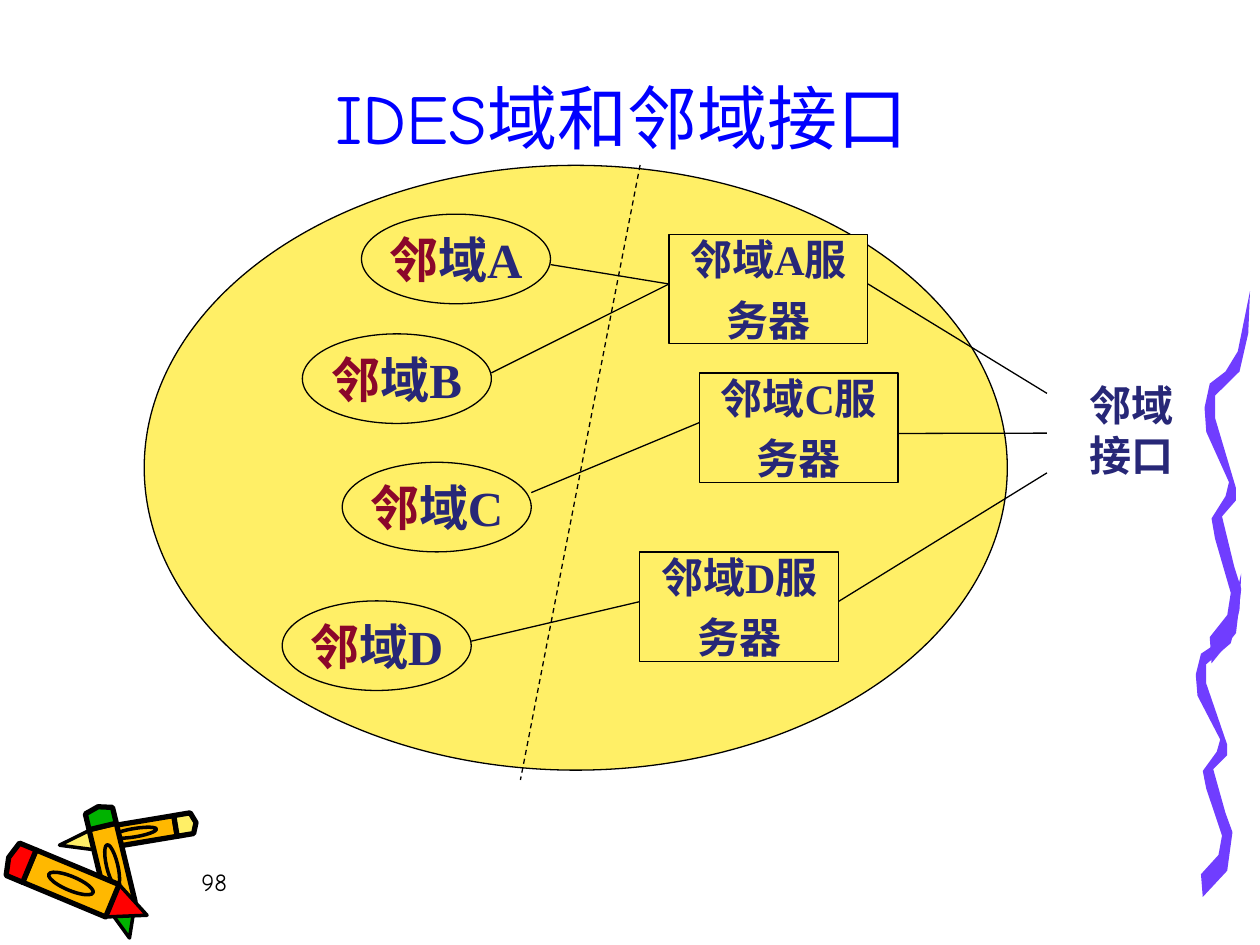
"""Build the slide on IDES domains and their neighbourhood interfaces."""
from math import atan2, degrees, hypot

from lxml.etree import SubElement
from pptx import Presentation
from pptx.dml.color import RGBColor
from pptx.enum.dml import MSO_LINE
from pptx.enum.shapes import MSO_CONNECTOR, MSO_SHAPE
from pptx.enum.text import MSO_ANCHOR, PP_ALIGN
from pptx.oxml.ns import qn
from pptx.util import Pt

BLACK = RGBColor(0x00, 0x00, 0x00)
YELLOW = RGBColor(0xFF, 0xEF, 0x66)
RED = RGBColor(0xFF, 0x00, 0x00)
ORANGE = RGBColor(0xFF, 0xB8, 0x00)
GREEN = RGBColor(0x00, 0xB2, 0x00)
PURPLE = RGBColor(0x70, 0x3D, 0xFF)
BLUE = RGBColor(0x00, 0x00, 0xFF)
NAVY = RGBColor(0x27, 0x27, 0x77)
MAROON = RGBColor(0x8B, 0x07, 0x2A)
COMIC, SERIF = "Comic Neue", "Times New Roman"

TITLE = "IDES域和邻域接口"
PAGE = "98"
INTERFACE = "邻域接口"
DOMAIN_SIZE = (108, 51.2)
SERVER_SIZE = (113.6, 62.6)
DOMAINS = [
    ("A", 206.6, 122.4, 28.8, "A"),
    ("B", 172.8, 190.8, 22.3, "A"),
    ("C", 195.6, 264.2, 17.3, "C"),
    ("D", 161.3, 343.4, 23, "D"),
]
SERVERS = {"A": (382.3, 133.9, 28.3), "C": (399.6, 213.1, 34.6), "D": (365.6, 315.4, 28.3)}
SERVER_ENTRY = 28.4
INTERFACE_X, INTERFACE_Y, INTERFACE_GAP = 598.3, 224.8, 22.7

CRAYONS = [
    ((34, 483), (112, 470), 6, YELLOW),
    ((74, 536), (56, 461), 8, GREEN),
    ((84, 523), (5, 490), 10, RED),
]
RIBBON = [
    (3, 172), (13, 161), (15, 150), (6, 123), (4, 113), (12, 102), (14, 95), (1, 70),
    (0, 58), (3, 46), (12, 40), (19, 30), (26, 0), (25, 21), (20, 40), (6, 52), (6, 63),
    (18, 98), (18, 104), (10, 112), (17, 137), (21, 148), (18, 170), (4, 185),
]
RIBBON_PLACES = [(683.3, 327.6, 1), (688.3, 166.3, 1.15)]


def add_run(p, text, size, color, font=SERIF, bold=True):
    r = p.add_run()
    r.text = text
    r.font.name, r.font.size, r.font.bold = font, Pt(size), bold
    r.font.color.rgb = color


def add_outline(s, points, color, border=0):
    points = [(Pt(x), Pt(y)) for x, y in points]
    builder = s.shapes.build_freeform(*points[0], scale=1.0)
    builder.add_line_segments(points[1:], close=True)
    sp = builder.convert_to_shape()
    sp.shadow.inherit = False
    sp.fill.solid()
    sp.fill.fore_color.rgb = color
    if border:
        sp.line.color.rgb, sp.line.width = BLACK, Pt(border)
    else:
        sp.line.fill.background()


def add_crayon(s, tip, tail, half, color):
    dx, dy = tail[0] - tip[0], tail[1] - tip[1]
    length = hypot(dx, dy)

    def at(share, side):
        return (tip[0] + share * dx - side * half * dy / length,
                tip[1] + share * dy + side * half * dx / length)

    add_outline(s, [at(0, 0), at(0.25, -1), at(0.25, 1)], color, 2)
    add_outline(s, [at(0.25, -1), at(0.85, -1), at(0.85, 1), at(0.25, 1)], ORANGE, 3)
    add_outline(s, [at(0.85, -1), at(0.97, -1), at(1, 0), at(0.97, 1), at(0.85, 1)], color, 3)
    x, y = at(0.55, 0)
    w, h = length * 0.32, half * 0.8
    ring = s.shapes.add_shape(MSO_SHAPE.OVAL, Pt(x - w / 2), Pt(y - h / 2), Pt(w), Pt(h))
    ring.shadow.inherit = False
    ring.rotation = degrees(atan2(dy, dx))
    ring.fill.background()
    ring.line.color.rgb, ring.line.width = BLACK, Pt(2)


def add_node(s, kind, x, y, size, lines=(), font_size=24):
    sp = s.shapes.add_shape(kind, Pt(x), Pt(y), *map(Pt, size))
    sp.shadow.inherit = False
    sp.fill.solid()
    sp.fill.fore_color.rgb = YELLOW
    sp.line.color.rgb, sp.line.width = BLACK, Pt(0.75)
    tf = sp.text_frame
    tf.word_wrap, tf.vertical_anchor = False, MSO_ANCHOR.MIDDLE
    for i, runs in enumerate(lines):
        p = tf.add_paragraph() if i else tf.paragraphs[0]
        p.alignment = PP_ALIGN.CENTER
        if i:
            p.space_before = Pt(6)
        for text, color in runs:
            add_run(p, text, font_size, color)


def add_line(s, start, end):
    line = s.shapes.add_connector(MSO_CONNECTOR.STRAIGHT, *map(Pt, start + end))
    line.line.color.rgb, line.line.width = BLACK, Pt(0.75)
    SubElement(line._element.spPr, qn("a:effectLst"))
    return line


def add_label(s, x, y, w, h):
    tf = s.shapes.add_textbox(Pt(x), Pt(y), Pt(w), Pt(h)).text_frame
    tf.word_wrap = True
    return tf.paragraphs[0]


def main():
    prs = Presentation()
    prs.slide_width, prs.slide_height = Pt(720), Pt(540)
    s = prs.slides.add_slide(prs.slide_layouts[5])

    for crayon in CRAYONS:
        add_crayon(s, *crayon)
    for left, top, stretch in RIBBON_PLACES:
        add_outline(s, [(left + x, top + y * stretch) for x, y in RIBBON], PURPLE)
    add_run(add_label(s, 108, 491.8, 149.8, 36), PAGE, 14, BLACK, COMIC, False)

    title = s.shapes.title
    title.left, title.top, title.width, title.height = map(Pt, (31, 37.4, 648, 56.9))
    title.text_frame.vertical_anchor = MSO_ANCHOR.BOTTOM
    p = title.text_frame.paragraphs[0]
    p.alignment = PP_ALIGN.CENTER
    add_run(p, TITLE, 40, BLUE, COMIC, False)

    add_node(s, MSO_SHAPE.OVAL, 82.4, 94.5, (493.2, 345.6))
    add_line(s, (365.8, 94.3), (297.4, 445.7)).line.dash_style = MSO_LINE.DASH

    for name, x, y, exit_y, server in DOMAINS:
        runs = [("邻", MAROON), ("域" + name, NAVY)]
        add_node(s, MSO_SHAPE.OVAL, x, y, DOMAIN_SIZE, [runs], 28)
        server_x, server_y, _ = SERVERS[server]
        add_line(s, (x + DOMAIN_SIZE[0], y + exit_y), (server_x, server_y + SERVER_ENTRY))

    for i, (name, (x, y, exit_y)) in enumerate(SERVERS.items()):
        lines = [[(f"邻域{name}服", NAVY)], [("务器", NAVY)]]
        add_node(s, MSO_SHAPE.RECTANGLE, x, y, SERVER_SIZE, lines)
        add_line(s, (x + SERVER_SIZE[0], y + exit_y), (INTERFACE_X, INTERFACE_Y + i * INTERFACE_GAP))

    p = add_label(s, 604.1, 213.1, 85, 64.8)
    p.alignment = PP_ALIGN.CENTER
    add_run(p, INTERFACE, 24, NAVY)
    prs.save("out.pptx")


if __name__ == "__main__":
    main()
